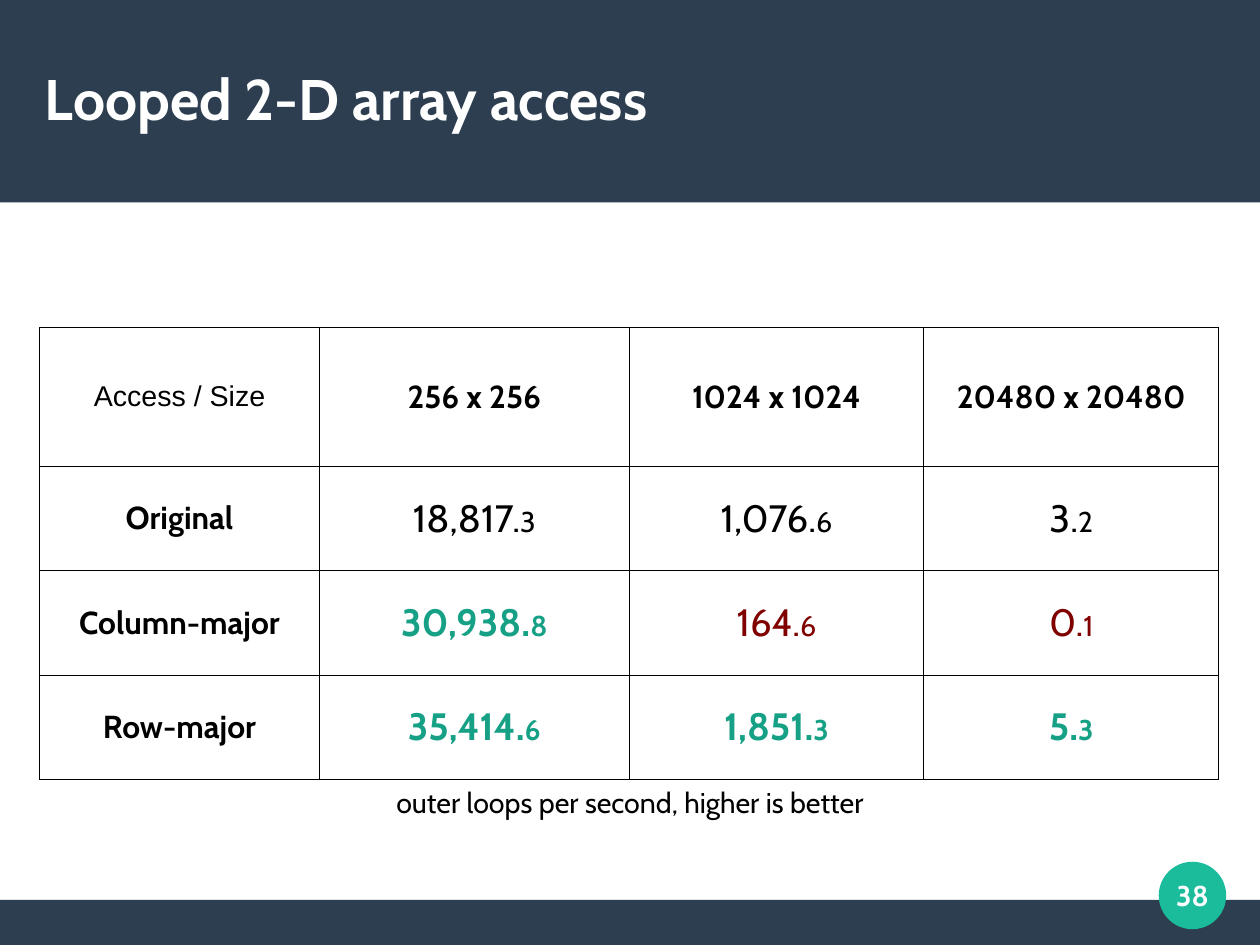
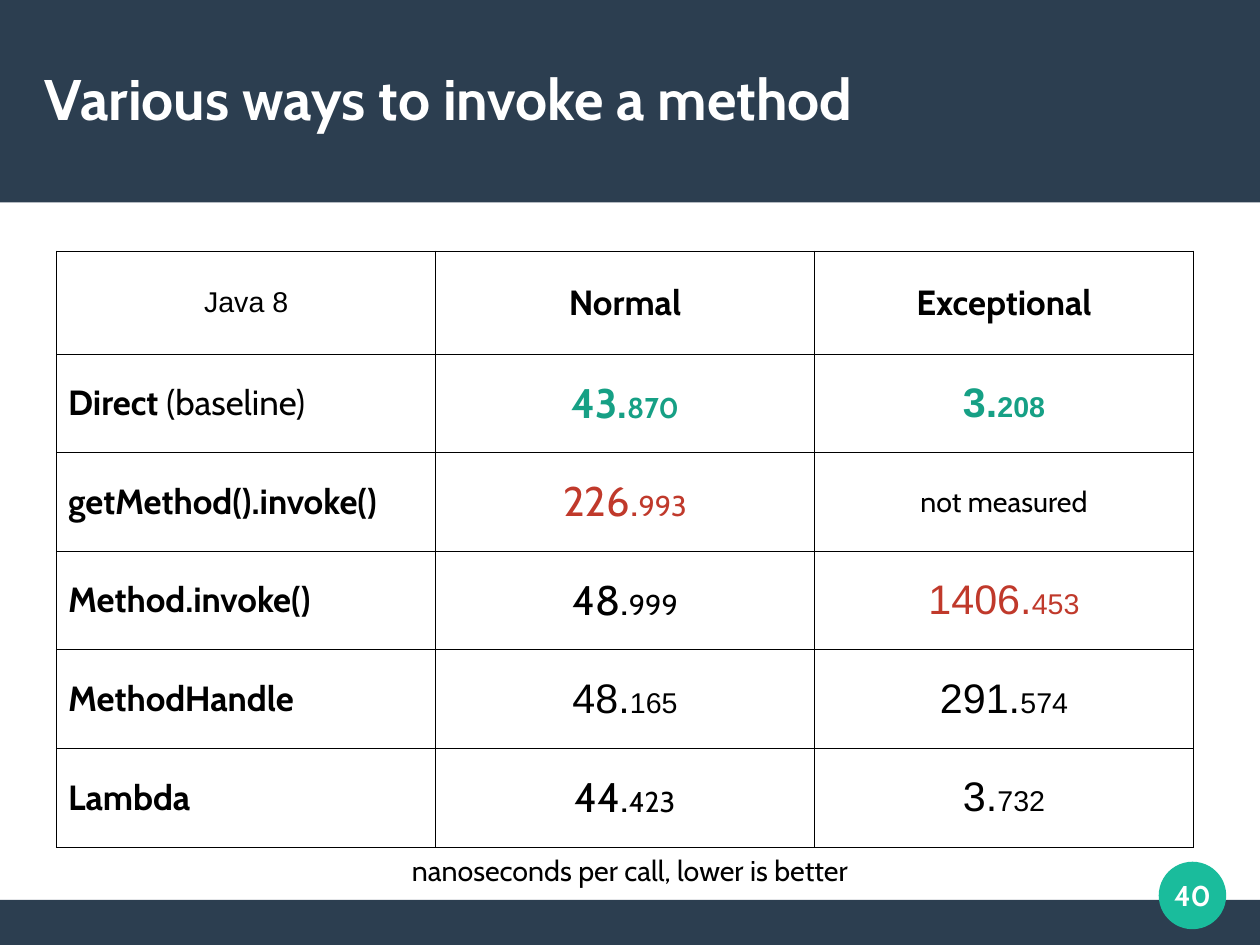
from collections import namedtuple
from dataclasses import dataclass, replace

from lxml import etree
from pptx import Presentation
from pptx.dml.color import RGBColor
from pptx.enum.shapes import MSO_SHAPE
from pptx.enum.text import MSO_ANCHOR, PP_ALIGN
from pptx.oxml.ns import qn
from pptx.util import Cm, Pt

RECTANGLE, OVAL = MSO_SHAPE.RECTANGLE, MSO_SHAPE.OVAL
LEFT, CENTER = PP_ALIGN.LEFT, PP_ALIGN.CENTER
TOP, MIDDLE = MSO_ANCHOR.TOP, MSO_ANCHOR.MIDDLE

# The slide is a grid of square units
GRID_COLUMNS, GRID_ROWS = 28, 21
UNIT = Cm(1)

NAVY, TEAL, WHITE, BLACK = "2C3E50", "1ABC9C", "FFFFFF", "000000"
GREEN, MAROON, RED = "16A085", "800000", "C0392B"
HEADING_FONT, PLAIN_FONT = "Cabin", "Arial"
SMALL_SIZE = 18
BORDER_WIDTH = 0.57

Box = namedtuple("Box", "left top width height")

HEADER = Box(0, 0, GRID_COLUMNS, 4.5)
FOOTER = Box(0, GRID_ROWS - 1, GRID_COLUMNS, 1)
TITLE = Box(1, 0.97, 26, 2.41)
BADGE = Box(25.75, 19.15, 1.5, 1.5)
CAPTION_WIDTH, CAPTION_HEIGHT = 15, 1.15


@dataclass(frozen=True)
class Style:
    size: float = SMALL_SIZE
    color: str = BLACK
    bold: bool = False
    face: str = HEADING_FONT


def rgb(hex_color):
    return RGBColor.from_string(hex_color)


def grid(box):
    return [round(length * UNIT) for length in box]


def apply_style(font, style):
    font.size = Pt(style.size)
    font.bold = style.bold
    font.name = style.face
    font.color.rgb = rgb(style.color)


def write(para, spans, align):
    """Write (text, style) spans; the first style is the paragraph's own."""
    para.alignment = align
    base = spans[0][1]
    apply_style(para.font, base)
    for text, style in spans:
        span = para.add_run()
        span.text = text
        if style != base:
            apply_style(span.font, style)


def write_frame(frame, text, style, align, anchor, inset=True):
    frame.word_wrap = True
    frame.vertical_anchor = anchor
    if not inset:
        frame.margin_left = frame.margin_right = 0
        frame.margin_top = frame.margin_bottom = 0
    write(frame.paragraphs[0], [(text, style)], align)


def add_filled(page, kind, box, color):
    shape = page.shapes.add_shape(kind, *grid(box))
    shape.shadow.inherit = False
    shape.fill.solid()
    shape.fill.fore_color.rgb = rgb(color)
    shape.line.fill.background()
    return shape


def add_frame(page, title, number):
    """Place the bands, the title and the page number badge."""
    add_filled(page, RECTANGLE, FOOTER, NAVY)
    add_filled(page, RECTANGLE, HEADER, NAVY)
    badge = add_filled(page, OVAL, BADGE, TEAL)
    write_frame(badge.text_frame, str(number), Style(SMALL_SIZE, WHITE, True),
                CENTER, MIDDLE, inset=False)
    title_box = page.shapes.add_textbox(*grid(TITLE))
    write_frame(title_box.text_frame, title, Style(36, WHITE, True),
                LEFT, MIDDLE, inset=False)


def set_borders(cell):
    properties = cell._tc.get_or_add_tcPr()
    for side in ("a:lnL", "a:lnR", "a:lnT", "a:lnB"):
        line = etree.SubElement(properties, qn(side), w=str(Pt(BORDER_WIDTH)))
        fill = etree.SubElement(line, qn("a:solidFill"))
        etree.SubElement(fill, qn("a:srgbClr"), val=BLACK)


def add_results(page, left, top, widths, heights, rows, label_align):
    """Place a table of span lists and return its lower edge."""
    box = Box(left, top, sum(widths), sum(heights))
    table = page.shapes.add_table(len(heights), len(widths), *grid(box)).table
    table.first_row = table.horz_banding = False
    for column, width in zip(table.columns, widths):
        column.width = round(width * UNIT)
    for row, height in zip(table.rows, heights):
        row.height = round(height * UNIT)
    for row_index, row in enumerate(rows):
        for column_index, spans in enumerate(row):
            cell = table.cell(row_index, column_index)
            cell.vertical_anchor = MIDDLE
            set_borders(cell)
            cell.fill.background()
            is_label = row_index > 0 and column_index == 0
            write(cell.text_frame.paragraphs[0], spans,
                  label_align if is_label else CENTER)
    return box.top + box.height


def add_caption(page, top, text):
    box = Box((GRID_COLUMNS - CAPTION_WIDTH) / 2, top,
              CAPTION_WIDTH, CAPTION_HEIGHT)
    caption = page.shapes.add_textbox(*grid(box))
    write_frame(caption.text_frame, text, Style(), CENTER, TOP)


def plain(text, face=HEADING_FONT):
    return [(text, Style(face=face))]


def label(text, size, tail=""):
    style = Style(size, bold=True)
    spans = [(text, style)]
    if tail:
        spans.append((tail, replace(style, bold=False)))
    return spans


def figure(value, size, color=BLACK, bold=False, face=HEADING_FONT):
    """Set the decimals smaller than the whole part."""
    whole, decimals = value.split(".")
    style = Style(size, color, bold, face)
    return [(whole + ".", style), (decimals, replace(style, size=SMALL_SIZE))]


def array_rows():
    label_size, figure_size = 20, 24
    best, worst = (GREEN, True), (MAROON,)
    sizes = ("256 x 256", "1024 x 1024", "20480 x 20480")
    results = [
        ("Original", ("18,817.3",), ("1,076.6",), ("3.2",)),
        ("Column-major", ("30,938.8", *best), ("164.6", *worst),
         ("0.1", *worst)),
        ("Row-major", ("35,414.6", *best), ("1,851.3", *best),
         ("5.3", *best)),
    ]
    header = [plain("Access / Size", PLAIN_FONT)]
    header += [label(size, label_size) for size in sizes]
    return [header] + [
        [label(name, label_size)]
        + [figure(value, figure_size, *look) for value, *look in values]
        for name, *values in results
    ]


def invoke_rows():
    label_size, figure_size = 22, 26

    def result(value, color=BLACK, bold=False, face=HEADING_FONT):
        return figure(value, figure_size, color, bold, face)

    return [
        [plain("Java 8", PLAIN_FONT), label("Normal", label_size),
         label("Exceptional", label_size)],
        [label("Direct", label_size, " (baseline)"),
         result("43.870", GREEN, True),
         result("3.208", GREEN, True, PLAIN_FONT)],
        [label("getMethod().invoke()", label_size), result("226.993", RED),
         plain("not measured")],
        [label("Method.invoke()", label_size), result("48.999"),
         result("1406.453", RED, face=PLAIN_FONT)],
        [label("MethodHandle", label_size), result("48.165", face=PLAIN_FONT),
         result("291.574", face=PLAIN_FONT)],
        [label("Lambda", label_size), result("44.423"),
         result("3.732", face=PLAIN_FONT)],
    ]


def add_result_slide(deck, title, number, caption, **table):
    page = deck.slides.add_slide(deck.slide_layouts[6])
    add_frame(page, title, number)
    bottom = add_results(page, **table)
    add_caption(page, bottom, caption)


def main():
    deck = Presentation()
    deck.slide_width = GRID_COLUMNS * UNIT
    deck.slide_height = GRID_ROWS * UNIT
    add_result_slide(
        deck, "Looped 2-D array access", 38,
        "outer loops per second, higher is better",
        left=0.88, top=7.28, widths=[6.22, 6.88, 6.55, 6.55],
        heights=[3.08] + [2.32] * 3, rows=array_rows(), label_align=CENTER)
    add_result_slide(
        deck, "Various ways to invoke a method", 40,
        "nanoseconds per call, lower is better",
        left=1.26, top=5.58, widths=[8.42] * 3,
        heights=[2.29] + [2.19] * 5, rows=invoke_rows(), label_align=LEFT)
    deck.save("out.pptx")


if __name__ == "__main__":
    main()
